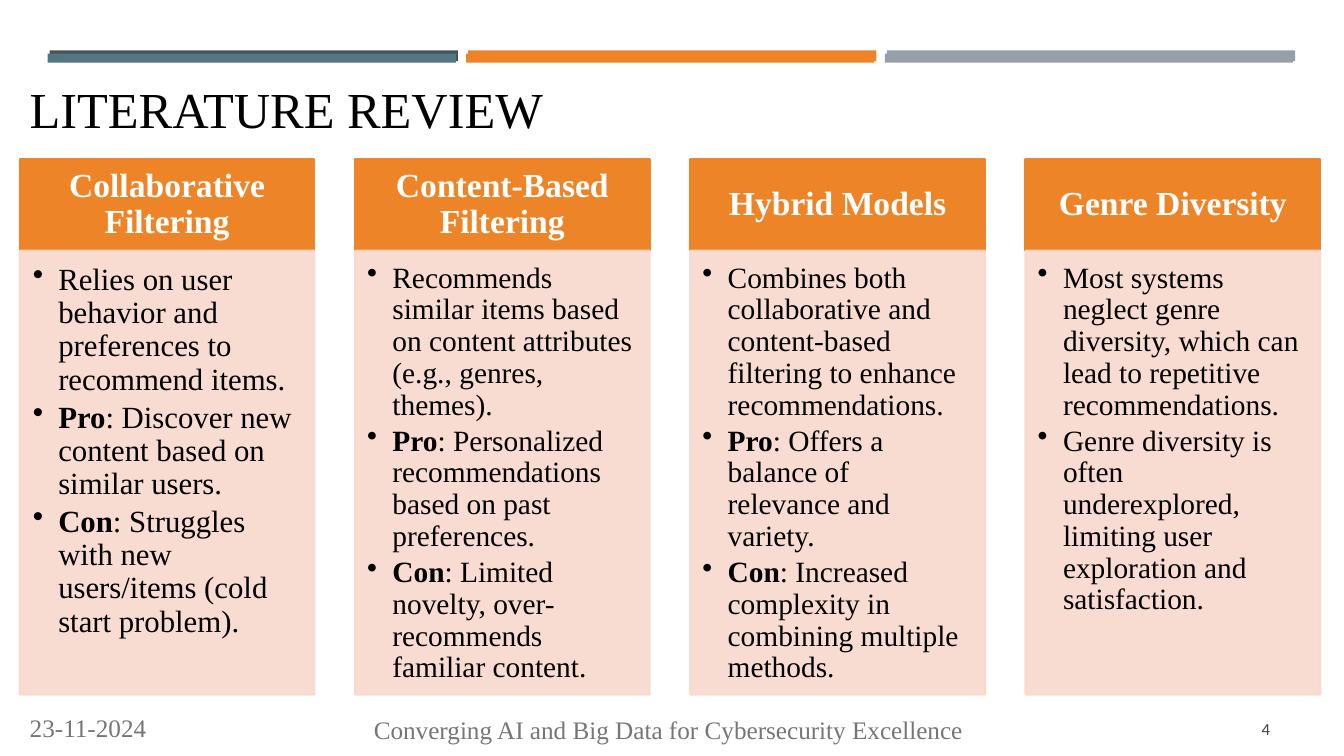
from pptx import Presentation
from pptx.dml.color import RGBColor
from pptx.enum.shapes import MSO_SHAPE
from pptx.enum.text import MSO_ANCHOR, PP_ALIGN
from pptx.oxml.ns import qn
from pptx.util import Cm, Pt
from lxml.etree import SubElement

BLACK = RGBColor(0x00, 0x00, 0x00)
WHITE = RGBColor(0xFF, 0xFF, 0xFF)
ORANGE = RGBColor(0xED, 0x84, 0x28)
PEACH = RGBColor(0xF8, 0xD9, 0xCD)
SLATE = RGBColor(0x46, 0x53, 0x59)
TEAL = RGBColor(0x53, 0x76, 0x85)
SILVER = RGBColor(0x96, 0x9F, 0xA7)
GREY = RGBColor(0x76, 0x76, 0x76)
CHARCOAL = RGBColor(0x40, 0x40, 0x40)
SERIF = "Times New Roman"

COLUMNS = [
    ("Collaborative Filtering", 22, 0.33, [
        ("", "Relies on user behavior and preferences to recommend items."),
        ("Pro", ": Discover new content based on similar users."),
        ("Con", ": Struggles with new users/items (cold start problem)."),
    ]),
    ("Content-Based Filtering", 21, 0.3, [
        ("", "Recommends similar items based on content attributes (e.g., genres, themes)."),
        ("Pro", ": Personalized recommendations based on past preferences."),
        ("Con", ": Limited novelty, over-recommends familiar content."),
    ]),
    ("Hybrid Models", 21, 0.3, [
        ("", "Combines both collaborative and content-based filtering to enhance recommendations."),
        ("Pro", ": Offers a balance of relevance and variety."),
        ("Con", ": Increased complexity in combining multiple methods."),
    ]),
    ("Genre Diversity", 21, 0.3, [
        ("", "Most systems neglect genre diversity, which can lead to repetitive recommendations."),
        ("", "Genre diversity is often underexplored, limiting user exploration and satisfaction."),
    ]),
]

deck = Presentation()
deck.slide_width, deck.slide_height = Cm(33.87), Cm(19.05)
page = deck.slides.add_slide(deck.slide_layouts[6])


def add_block(left, top, width, height, color):
    block = page.shapes.add_shape(
        MSO_SHAPE.RECTANGLE, Cm(left), Cm(top), Cm(width), Cm(height))
    block.shadow.inherit = False
    block.fill.solid()
    block.fill.fore_color.rgb = color
    block.line.fill.background()
    return block


def add_span(para, text, **font):
    span = para.add_run()
    span.text = text
    color = font.pop("color")
    for name, value in font.items():
        setattr(span.font, name, value)
    span.font.color.rgb = color


for left, top, height, colors in [
    (1.25, 1.27, 0.27, (SLATE, ORANGE, SILVER)),
    (1.2, 1.35, 0.23, (TEAL, ORANGE, SILVER)),
]:
    for index, color in enumerate(colors):
        add_block(left + index * 10.55, top, 10.29, height, color)

for text, place, size, font_name, color, align, anchor in [
    ("LITERATURE REVIEW", (0.5, 1.85, 30.63, 1.78), 36, SERIF, BLACK,
     PP_ALIGN.LEFT, MSO_ANCHOR.BOTTOM),
    ("4", (29.34, 17.86, 2.92, 1.02), 12, "Calibri", CHARCOAL,
     PP_ALIGN.RIGHT, MSO_ANCHOR.MIDDLE),
    ("23-11-2024", (0.5, 17.83, 4.52, 1.02), 18, SERIF, GREY,
     PP_ALIGN.LEFT, MSO_ANCHOR.TOP),
    ("Converging AI and Big Data for Cybersecurity Excellence",
     (9.17, 17.88, 15.47, 1.02), 18, SERIF, GREY, PP_ALIGN.LEFT, MSO_ANCHOR.TOP),
]:
    box = page.shapes.add_textbox(*[Cm(length) for length in place])
    box.text_frame.word_wrap = True
    box.text_frame.vertical_anchor = anchor
    para = box.text_frame.paragraphs[0]
    para.alignment = align
    add_span(para, text, size=Pt(size), name=font_name, color=color)

for index, (heading, size, inset, points) in enumerate(COLUMNS):
    left = 0.5 + index * 8.45

    header = add_block(left, 4.01, 7.42, 2.31, ORANGE)
    header.line.color.rgb = ORANGE
    header.line.width = Pt(1.75)
    frame = header.text_frame
    for name, value in {
        "word_wrap": True, "vertical_anchor": MSO_ANCHOR.MIDDLE,
        "margin_left": Cm(0.48), "margin_right": Cm(0.48),
        "margin_top": Cm(0.28), "margin_bottom": Cm(0.28),
    }.items():
        setattr(frame, name, value)
    para = frame.paragraphs[0]
    para.alignment = PP_ALIGN.CENTER
    para.line_spacing = 0.9
    add_span(para, heading, size=Pt(24), name=SERIF, bold=True, color=WHITE)

    panel = add_block(left, 6.32, 7.42, 11.18, PEACH)
    panel.line.color.rgb = PEACH
    panel.line.width = Pt(1.75)
    for tint in panel.element.spPr.iter(qn("a:srgbClr")):
        SubElement(tint, qn("a:alpha"), val="90000")
    frame = panel.text_frame
    for name, value in {
        "word_wrap": True, "vertical_anchor": MSO_ANCHOR.TOP,
        "margin_left": Cm(inset), "margin_right": Cm(inset + 0.1),
        "margin_top": Cm(inset), "margin_bottom": Cm(inset + 0.15),
    }.items():
        setattr(frame, name, value)
    for number, (label, text) in enumerate(points):
        para = frame.add_paragraph() if number else frame.paragraphs[0]
        para.alignment = PP_ALIGN.LEFT
        para.line_spacing = 0.9
        para.space_after = Pt(size * 0.15)
        properties = para._p.get_or_add_pPr()
        properties.set("marL", str(Cm(0.64)))
        properties.set("indent", str(-Cm(0.64)))
        SubElement(properties, qn("a:buChar"), char="•")
        if label:
            add_span(para, label, size=Pt(size), name=SERIF, bold=True, color=BLACK)
        add_span(para, text, size=Pt(size), name=SERIF, bold=False, color=BLACK)

deck.save("out.pptx")
